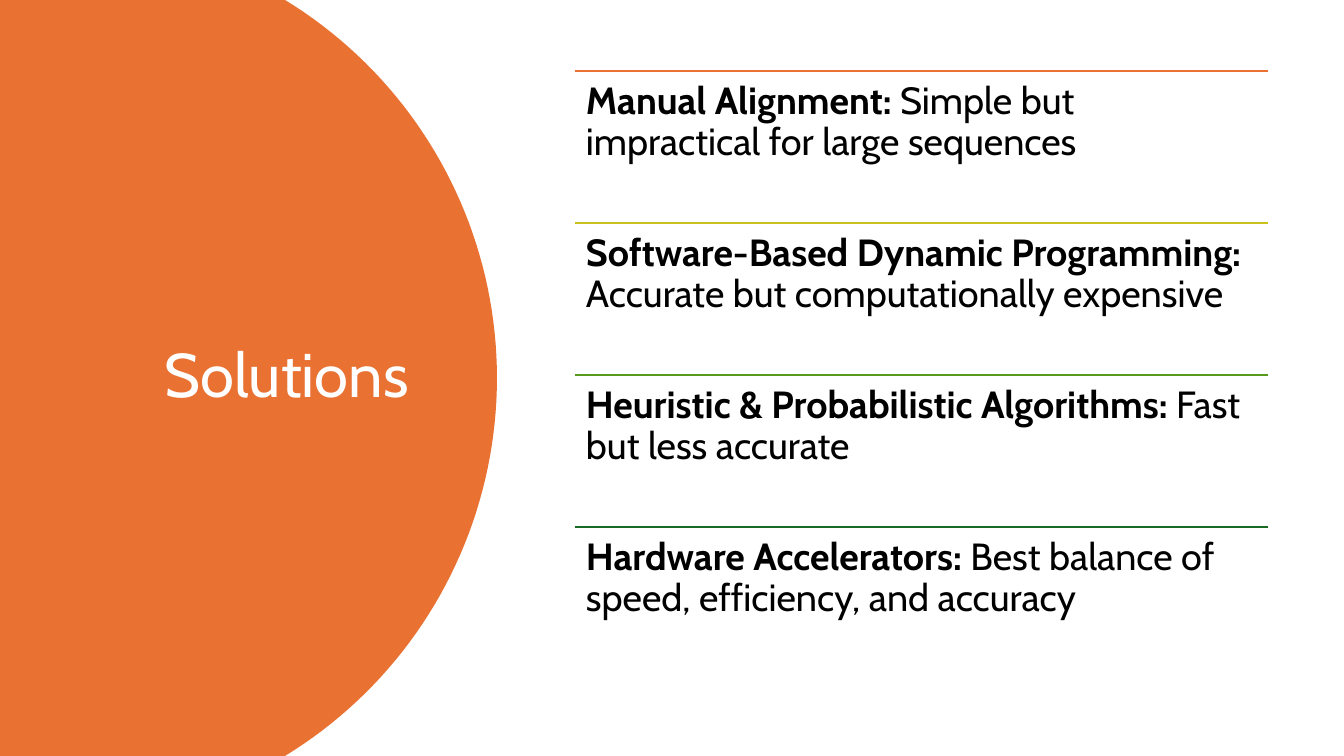
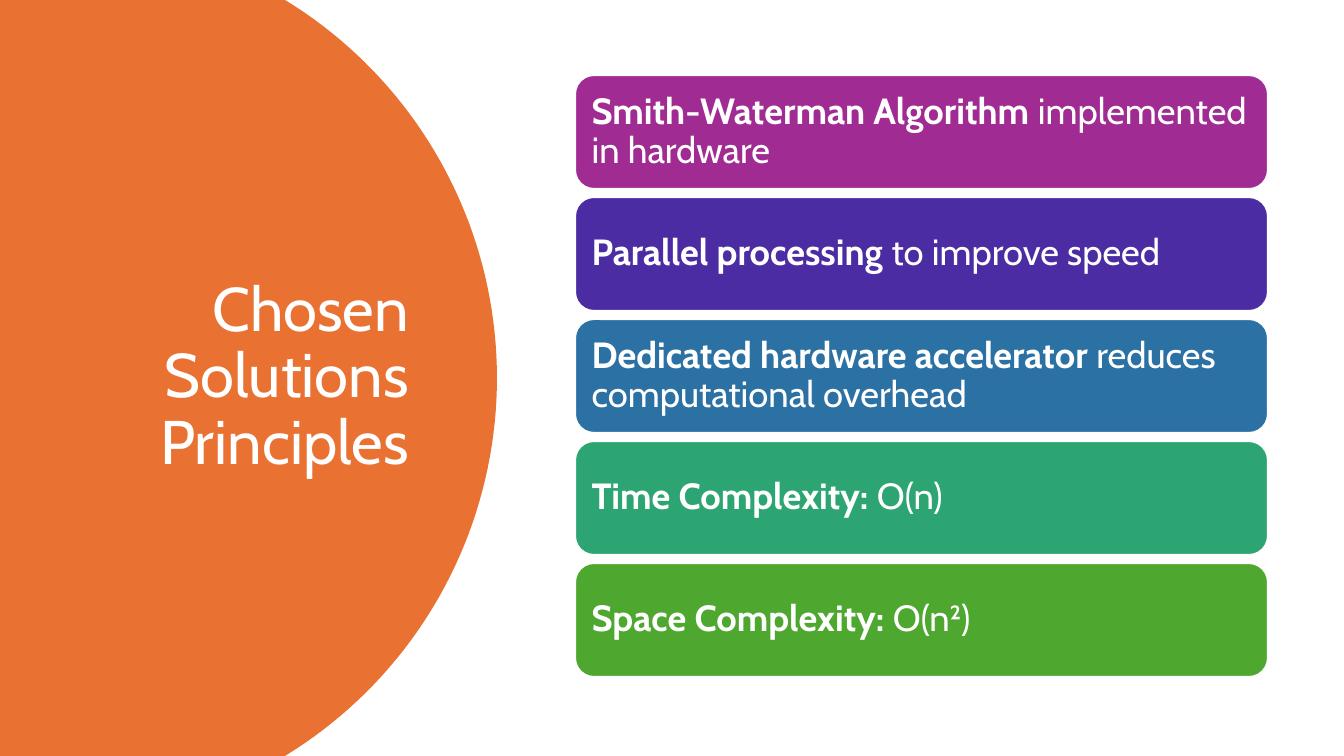
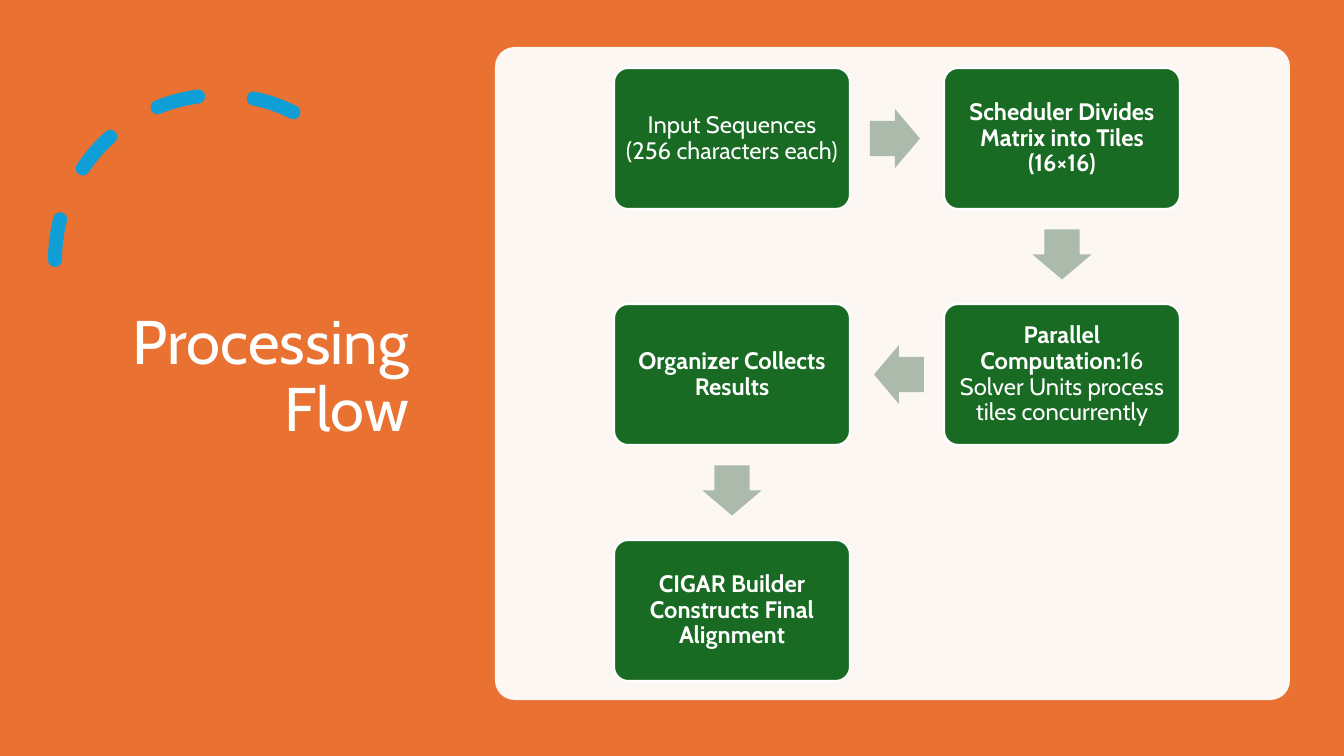
from math import asin, atan2, cos, degrees, sin

from pptx import Presentation
from pptx.dml.color import RGBColor as Rgb
from pptx.enum.dml import MSO_LINE as Dash
from pptx.enum.shapes import MSO_CONNECTOR as Conn, MSO_SHAPE as Kind
from pptx.enum.text import MSO_ANCHOR as Anchor, PP_ALIGN as Align
from pptx.oxml.ns import qn
from pptx.util import Emu, Pt
from lxml.etree import SubElement as Sub

SCALE = 914400 / 100.8
WIDE, HIGH = 1344, 756
HUES = {
    "white": "FFFFFF", "black": "000000", "orange": "E97132",
    "olive": "CBC11E", "leaf": "56991D", "green": "196B24",
    "plum": "A02B93", "violet": "4B2CA2", "blue": "2C71A4",
    "teal": "2DA573", "lime": "4EA72E", "sky": "0F9ED5", "sage": "ACBAAC",
}


def px(*nums):
    """Turn px into EMU."""
    return [Emu(round(n * SCALE)) for n in nums]


def put(item, vals):
    """Set each attribute named in a dict."""
    for key, val in vals.items():
        setattr(item, key, val)


class Deck:
    """Shared style and the slide being built."""

    font = "Cabin"

    def __init__(self):
        """Open an empty wide deck."""
        self.prs = Presentation()
        put(self.prs, dict(zip(("slide_width", "slide_height"), px(WIDE, HIGH))))

    def hue(self, name):
        """Look up a colour."""
        return Rgb.from_string(HUES[name])

    def page(self):
        """Start a title-only slide."""
        self.slide = self.prs.slides.add_slide(self.prs.slide_layouts[5])
        self.shapes = self.slide.shapes

    def label(self, item, runs, size, hue, inset, align=Align.LEFT, anchor=Anchor.MIDDLE):
        """Fill a frame with one paragraph of (text, bold) runs."""
        frame = item.text_frame
        put(frame, {"word_wrap": True, "vertical_anchor": anchor})
        sides = ("left", "top", "right", "bottom")
        put(frame, {f"margin_{side}": px(inset)[0] for side in sides})
        para = frame.paragraphs[0]
        put(para, {"alignment": align, "line_spacing": 0.9})
        for text, bold in runs:
            run = para.add_run()
            run.text = text
            put(run.font, {"name": self.font, "size": Pt(size), "bold": bold})
            run.font.color.rgb = self.hue(hue)

    def title(self, text):
        """Place the title above the backdrop."""
        item = self.shapes.title
        put(item, dict(zip(("left", "top", "width", "height"), px(93, 71, 326, 614))))
        item.element.getparent().append(item.element)
        self.label(item, [(text, False)], 44, "white", 10, Align.RIGHT)

    def paint(self, item, fill=None, edge=None, width=1.5):
        """Set fill and line, and drop the shadow."""
        item.shadow.inherit = False
        for part, name in ((item.fill, fill), (item.line.fill, edge)):
            if name:
                part.solid()
                part.fore_color.rgb = self.hue(name)
            else:
                part.background()
        if edge:
            item.line.width = Pt(width)
        return item

    def shape(self, kind, box, fill=None, edge=None, width=1.5, adj=()):
        """Add a painted preset shape."""
        item = self.shapes.add_shape(kind, *px(*box))
        for num, val in enumerate(adj):
            item.adjustments[num] = val
        return self.paint(item, fill, edge, width)

    def disc(self):
        """Draw the round orange side."""
        mid, rad, steps = 54, 443, 80
        turn = asin(HIGH / 2 / rad)
        angles = [turn * (2 * n / steps - 1) for n in range(steps + 1)]
        rim = [px(mid + rad * cos(a), HIGH / 2 + rad * sin(a)) for a in angles]
        pen = self.shapes.build_freeform(0, 0)
        pen.add_line_segments(rim + [px(0, HIGH)], close=True)
        self.paint(pen.convert_to_shape(), "orange")

    def rule(self, left, top, wide, hue):
        """Draw a thin level line."""
        item = self.shapes.add_connector(Conn.STRAIGHT, *px(left, top, left + wide, top))
        item.line.color.rgb = self.hue(hue)
        item.line.width = Pt(1.5)
        Sub(item.element.spPr, qn("a:effectLst"))

    def text(self, box, runs, size, hue, inset):
        """Add a text box that starts at its top."""
        item = self.shapes.add_textbox(*px(*box))
        self.label(item, runs, size, hue, inset, anchor=Anchor.TOP)

    def panel(self, box):
        """Add the pale rounded panel."""
        item = self.shape(Kind.ROUNDED_RECTANGLE, box, "white", adj=(0.03,))
        tint = item.element.xpath(".//a:solidFill/a:srgbClr")[0]
        Sub(tint, qn("a:alpha")).set("val", "95000")

    def arc(self, box):
        """Add the dashed arc with round ends."""
        item = self.shape(Kind.ARC, box, None, "sky", 10, (146.13, 0))
        item.line.dash_style = Dash.DASH
        item.element.spPr.find(qn("a:ln")).set("cap", "rnd")
        item.element.spPr.find(qn("a:xfrm")).set("flipH", "1")

    def arrow(self, start, end):
        """Point a block arrow from one centre to the next."""
        wide, high, back = 50, 59, 2
        turn = atan2(end[1] - start[1], end[0] - start[0])
        left = (start[0] + end[0]) / 2 - back * cos(turn) - wide / 2
        top = (start[1] + end[1]) / 2 - back * sin(turn) - high / 2
        item = self.shape(Kind.RIGHT_ARROW, (left, top, wide, high), "sage", adj=(0.6, 0.5))
        item.rotation = degrees(turn)


def answers(deck):
    """Build the slide of ruled rows."""
    rows = [
        ("orange", "Manual Alignment:", " Simple but impractical for large sequences"),
        ("olive", "Software-Based Dynamic Programming:", " Accurate but computationally expensive"),
        ("leaf", "Heuristic & Probabilistic Algorithms:", " Fast but less accurate"),
        ("green", "Hardware Accelerators:", " Best balance of speed, efficiency, and accuracy"),
    ]
    left, wide, step = 575, 693, 152
    deck.page()
    deck.disc()
    deck.title("Solutions")
    for num, (hue, head, rest) in enumerate(rows):
        top = 71 + num * step
        deck.rule(left, top, wide, hue)
        deck.text((left, top, wide, step), [(head, True), (rest, False)], 27, "black", 11)


def tenets(deck):
    """Build the slide of coloured bars."""
    bars = [
        ("plum", "Smith-Waterman Algorithm", " implemented in hardware"),
        ("violet", "Parallel processing", " to improve speed"),
        ("blue", "Dedicated hardware accelerator", " reduces computational overhead"),
        ("teal", "Time Complexity:", " O(n)"),
        ("lime", "Space Complexity:", " O(n²)"),
    ]
    deck.page()
    deck.disc()
    deck.title("Chosen Solutions Principles")
    for num, (hue, head, rest) in enumerate(bars):
        box = (575, 75 + num * 122, 693, 114)
        bar = deck.shape(Kind.ROUNDED_RECTANGLE, box, hue, "white")
        deck.label(bar, [(head, True), (rest, False)], 26, "white", 11)


def flow(deck):
    """Build the slide of the process."""
    steps = [
        (0, 0, [("Input Sequences (256 characters each)", False)]),
        (1, 0, [("Scheduler Divides Matrix into Tiles (16×16)", True)]),
        (1, 1, [("Parallel Computation:", True), ("16 Solver Units process tiles concurrently", False)]),
        (0, 1, [("Organizer Collects Results", True)]),
        (0, 2, [("CIGAR Builder Constructs Final Alignment", True)]),
    ]
    wide, high = 236, 141
    deck.page()
    deck.shape(Kind.RECTANGLE, (0, 0, WIDE, HIGH), "orange")
    deck.arc((55, 95, 330, 330))
    deck.title("Processing Flow")
    deck.panel((495, 47, 795, 653))
    last = None
    for col, row, runs in steps:
        left, top = 614 + col * 330, 68 + row * 236
        mid = (left + wide / 2, top + high / 2)
        if last:
            deck.arrow(last, mid)
        box = deck.shape(Kind.ROUNDED_RECTANGLE, (left, top, wide, high), "green", "white", adj=(0.1,))
        deck.label(box, runs, 17, "white", 6, Align.CENTER)
        last = mid


def main():
    """Build and save the deck."""
    deck = Deck()
    for build in (answers, tenets, flow):
        build(deck)
    deck.prs.save("out.pptx")


if __name__ == "__main__":
    main()
